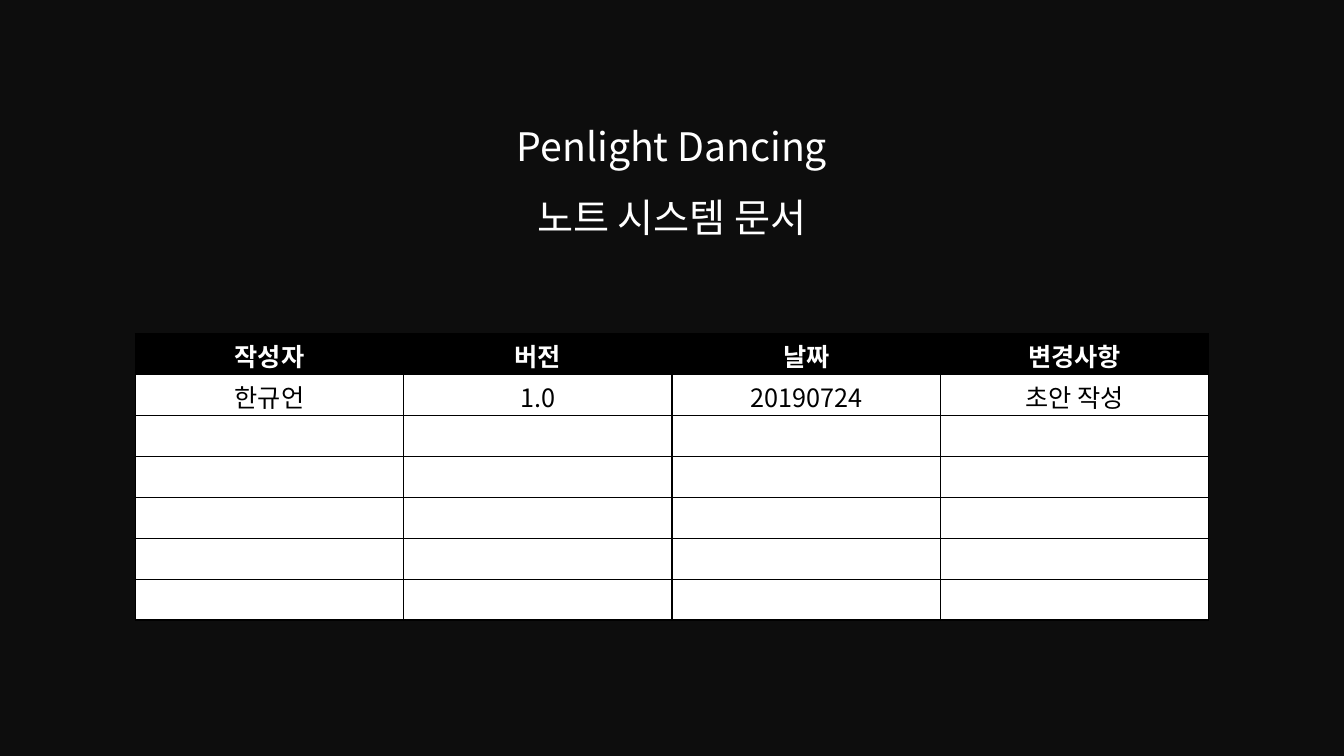
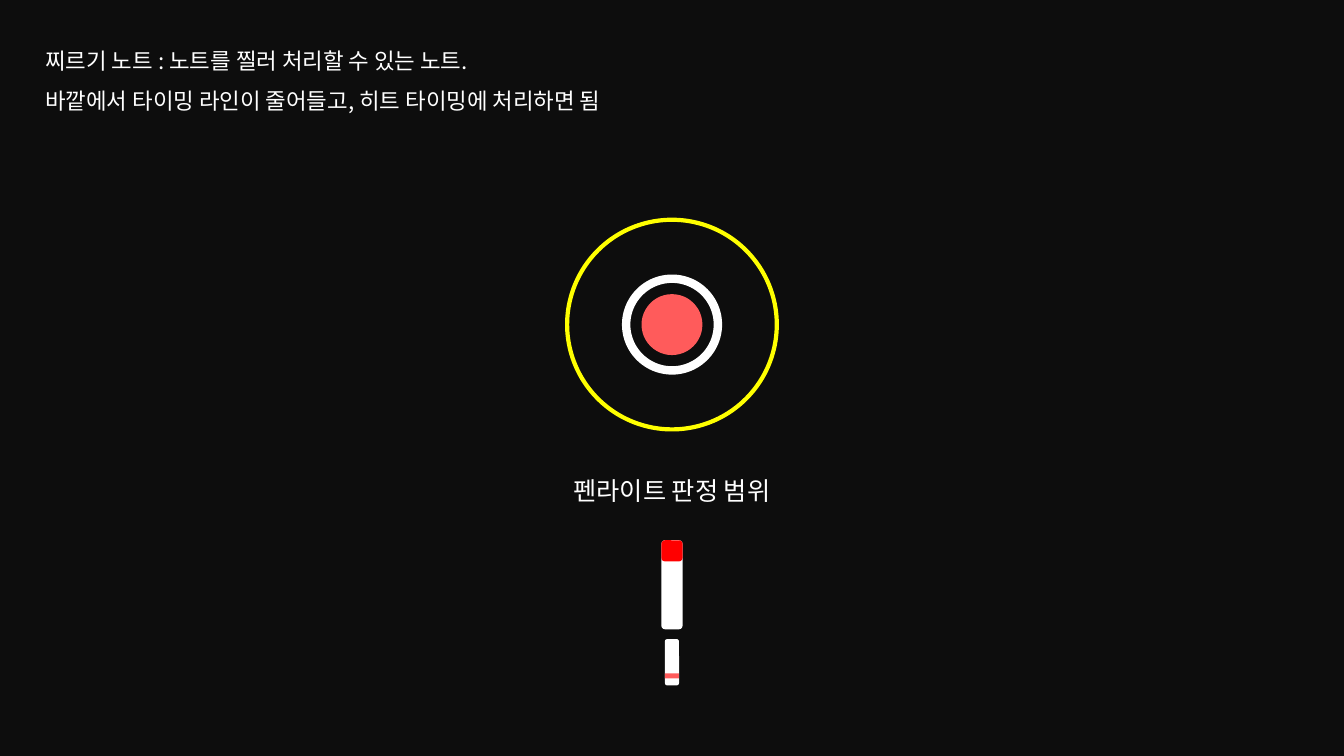
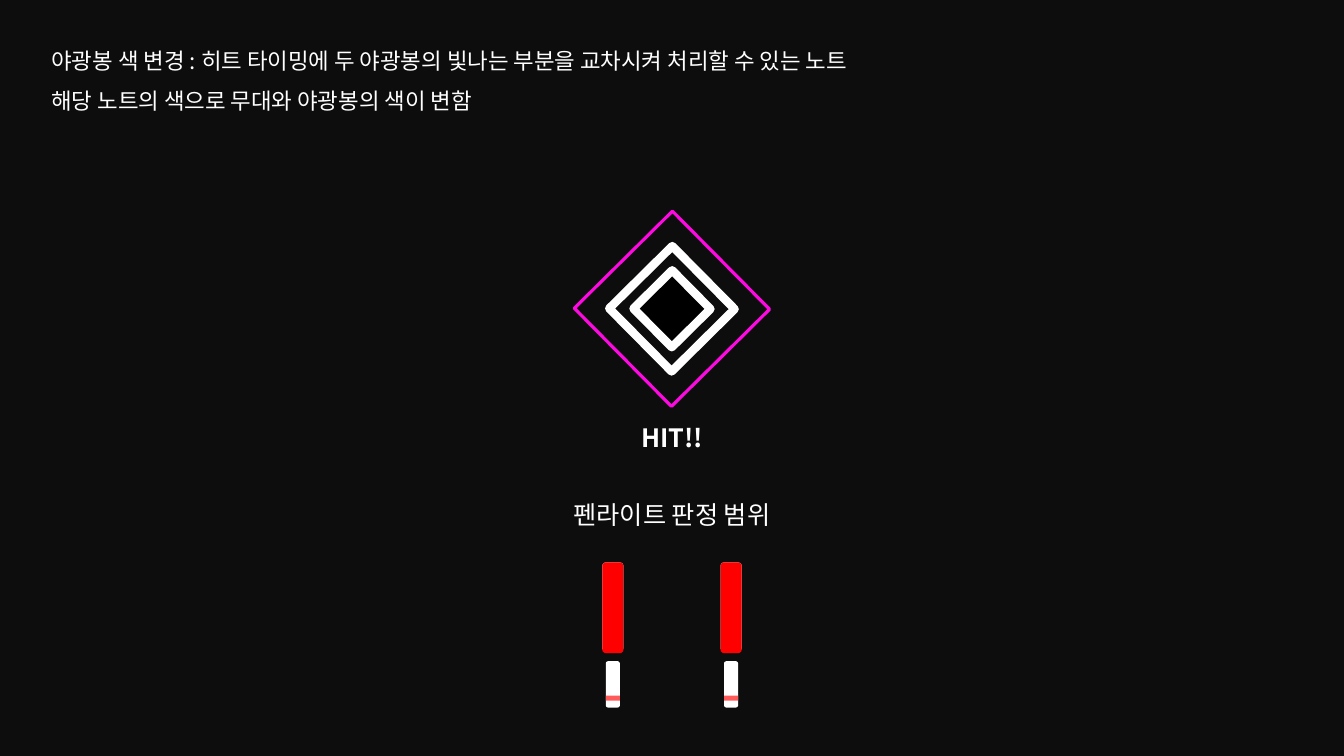
from dataclasses import dataclass
from lxml.etree import SubElement
from pptx import Presentation
from pptx.dml.color import RGBColor
from pptx.enum.shapes import MSO_SHAPE
from pptx.enum.text import MSO_ANCHOR, MSO_AUTO_SIZE, PP_ALIGN
from pptx.oxml.ns import qn
from pptx.util import Emu, Inches, Pt


@dataclass(frozen=True)
class Theme:
    """Colours, type sizes and font of the deck."""
    back: str = "0D0D0D"
    white: str = "FFFFFF"
    black: str = "000000"
    coral: str = "FF5B5B"
    red: str = "FF0000"
    yellow: str = "FFFF00"
    pink: str = "FF09E2"
    font: str = "Noto Sans CJK KR"
    head: int = 28
    note: int = 16
    text: int = 18


def apply(obj, values):
    """Set each named attribute of an object."""
    for name, value in values.items():
        setattr(obj, name, value)


def paint(fill, tint):
    """Fill with a solid colour, or with none."""
    if tint:
        fill.solid()
        fill.fore_color.rgb = RGBColor.from_string(tint)
    else:
        fill.background()


class Deck:
    """Draws elements on the current slide, on a grid of 160 by 90 cells."""
    cols, rows, mid = 160, 90, 80

    def __init__(self, theme):
        """Open a wide deck with a dark master."""
        self.theme = theme
        self.file = Presentation()
        apply(self.file, dict(slide_width=Inches(13.33), slide_height=Inches(7.5)))
        paint(self.file.slide_master.background.fill, theme.back)

    def page(self):
        """Start a slide that has a title only."""
        self.slide = self.file.slides.add_slide(self.file.slide_layouts[5])

    def box(self, x, y, w, h):
        """Turn grid cells into a place and a size."""
        wide = self.file.slide_width / self.cols
        high = self.file.slide_height / self.rows
        return [Emu(round(n)) for n in (x * wide, y * high, w * wide, h * high)]

    def words(self, frame, lines, size, tint, align=PP_ALIGN.CENTER, space=None, bold=False):
        """Put styled lines into a text frame."""
        frame.text = "\n".join(lines)
        for para in frame.paragraphs:
            apply(para, dict(alignment=align, line_spacing=space))
            for run in para.runs:
                apply(run.font, dict(size=Pt(size), bold=bold, name=self.theme.font))
                run.font.color.rgb = RGBColor.from_string(tint)
                SubElement(run.font._element, qn("a:ea"), typeface=self.theme.font)

    def place(self, shape, area, lines, size, **style):
        """Move a text shape and put white lines in it."""
        apply(shape, dict(zip(("left", "top", "width", "height"), self.box(*area))))
        apply(shape.text_frame, dict(word_wrap=True, vertical_anchor=MSO_ANCHOR.TOP,
                                     auto_size=MSO_AUTO_SIZE.SHAPE_TO_FIT_TEXT))
        self.words(shape.text_frame, lines, size, self.theme.white, **style)

    def title(self, area, lines, size, align=PP_ALIGN.LEFT):
        """Fill the title placeholder."""
        self.place(self.slide.shapes.title, area, lines, size, align=align, space=1.5)

    def label(self, y, w, h, line, **style):
        """Add a line of text centred on the slide."""
        area = (self.mid - w / 2, y, w, h)
        shape = self.slide.shapes.add_textbox(*self.box(*area))
        self.place(shape, area, [line], self.theme.text, **style)

    def shape(self, kind, x, y, w, h, fill=None, line=None, width=0, turn=0):
        """Add a shape whose top is at y and whose middle is at x."""
        item = self.slide.shapes.add_shape(kind, *self.box(x - w / 2, y, w, h))
        item.rotation = turn
        item.shadow.inherit = False
        paint(item.fill, fill)
        paint(item.line.fill, line)
        if line:
            item.line.width = Pt(width)

    def rings(self, kind, y, items, turn=0):
        """Add shapes around one centre, from the inside out."""
        for size, fill, line, width in items:
            self.shape(kind, self.mid, y - size / 2, size, size, fill, line, width, turn)

    def stick(self, x, y, glow):
        """Add a penlight whose red part is as long as glow."""
        t = self.theme
        bar, band = MSO_SHAPE.ROUNDED_RECTANGLE, MSO_SHAPE.RECTANGLE
        parts = ((bar, 0, 2.52, 10.6, t.white), (bar, 11.76, 1.68, 5.52, t.white),
                 (band, 15.84, 1.68, 0.6, t.coral), (bar, 0, 2.52, glow, t.red))
        for kind, drop, w, h, fill in parts:
            self.shape(kind, x, y + drop, w, h, fill)

    def table(self, y, w, h, count, data):
        """Add a centred table with a dark header and thin borders."""
        t = self.theme
        area = self.box(self.mid - w / 2, y, w, h)
        grid = self.slide.shapes.add_table(count, len(data[0]), *area).table
        for i in range(count):
            for j in range(len(data[0])):
                cell = grid.cell(i, j)
                apply(cell, dict(margin_top=Inches(0.04), margin_bottom=0))
                if i < len(data):
                    self.words(cell.text_frame, [data[i][j]], t.text,
                               t.black if i else t.white, bold=not i)
                self.edge(cell)
                paint(cell.fill, t.white if i else t.black)

    def edge(self, cell):
        """Draw the four borders of a cell."""
        for side in ("lnL", "lnR", "lnT", "lnB"):
            line = SubElement(cell._tc.get_or_add_tcPr(), qn("a:" + side), w=str(Pt(1)))
            fill = SubElement(line, qn("a:solidFill"))
            SubElement(fill, qn("a:srgbClr"), val=self.theme.black)


look = Theme()
deck = Deck(look)

deck.page()
deck.title((43.4, 11.16, 73.2, 17.4), ["Penlight Dancing", "노트 시스템 문서"],
           look.head, PP_ALIGN.CENTER)
deck.table(39.72, 127.8, 34.1, 7, [["작성자", "버전", "날짜", "변경사항"],
                                   ["한규언", "1.0", "20190724", "초안 작성"]])

RANGE = "펜라이트 판정 범위"

deck.page()
deck.title((4.2, 3.36, 133.7, 10.44),
           ["찌르기 노트 : 노트를 찔러 처리할 수 있는 노트.",
            "바깥에서 타이밍 라인이 줄어들고, 히트 타이밍에 처리하면 됨"], look.note)
deck.rings(MSO_SHAPE.OVAL, 38.64, [(7.25, look.coral, None, 0),
                                   (10.92, None, look.white, 6),
                                   (24.96, None, look.yellow, 3)])
deck.label(54.24, 35.64, 6.12, RANGE, space=1.5)
deck.stick(deck.mid, 64.32, 2.52)

deck.page()
deck.title((4.92, 3.36, 133.7, 10.44),
           ["야광봉 색 변경 : 히트 타이밍에 두 야광봉의 빛나는 부분을 교차시켜 처리할 수 있는 노트",
            "해당 노트의 색으로 무대와 야광봉의 색이 변함"], look.note)
deck.label(57, 35.64, 6.12, RANGE, space=1.5)
deck.rings(MSO_SHAPE.RECTANGLE, 36.76, [(6.48, look.black, look.white, 6),
                                        (10.56, None, look.white, 6),
                                        (16.44, None, look.pink, 2.25)], 315.3)
for shift in (-7.04, 7.04):
    deck.stick(deck.mid + shift, 66.96, 10.8)
deck.label(49.68, 10.56, 4.8, "HIT!!", bold=True)

deck.file.save("out.pptx")
